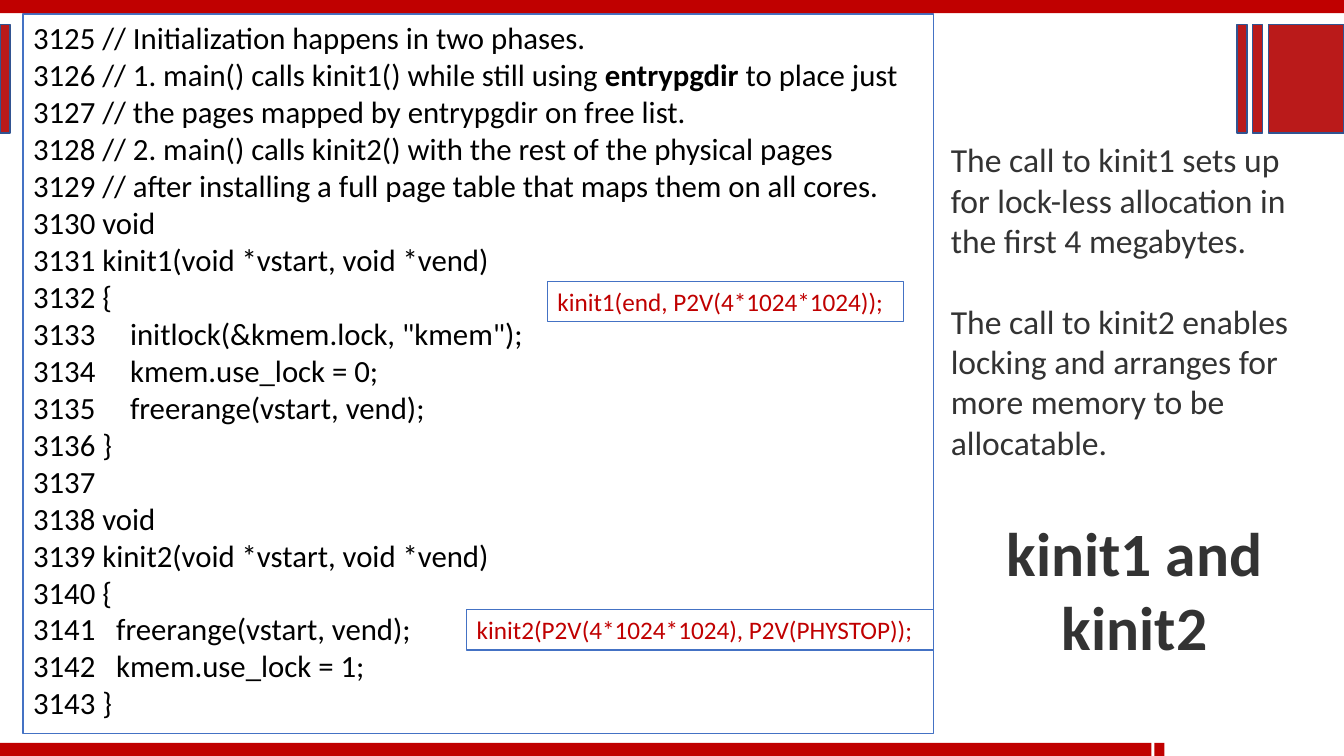
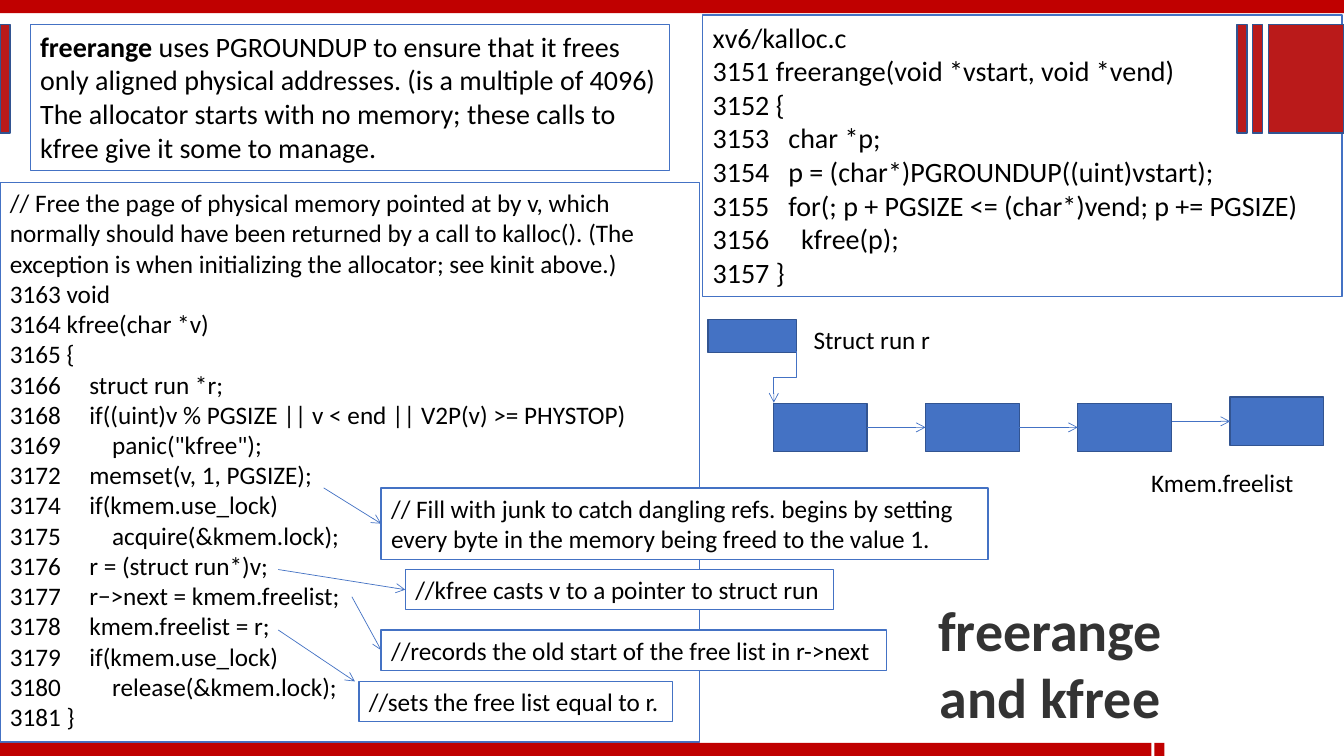
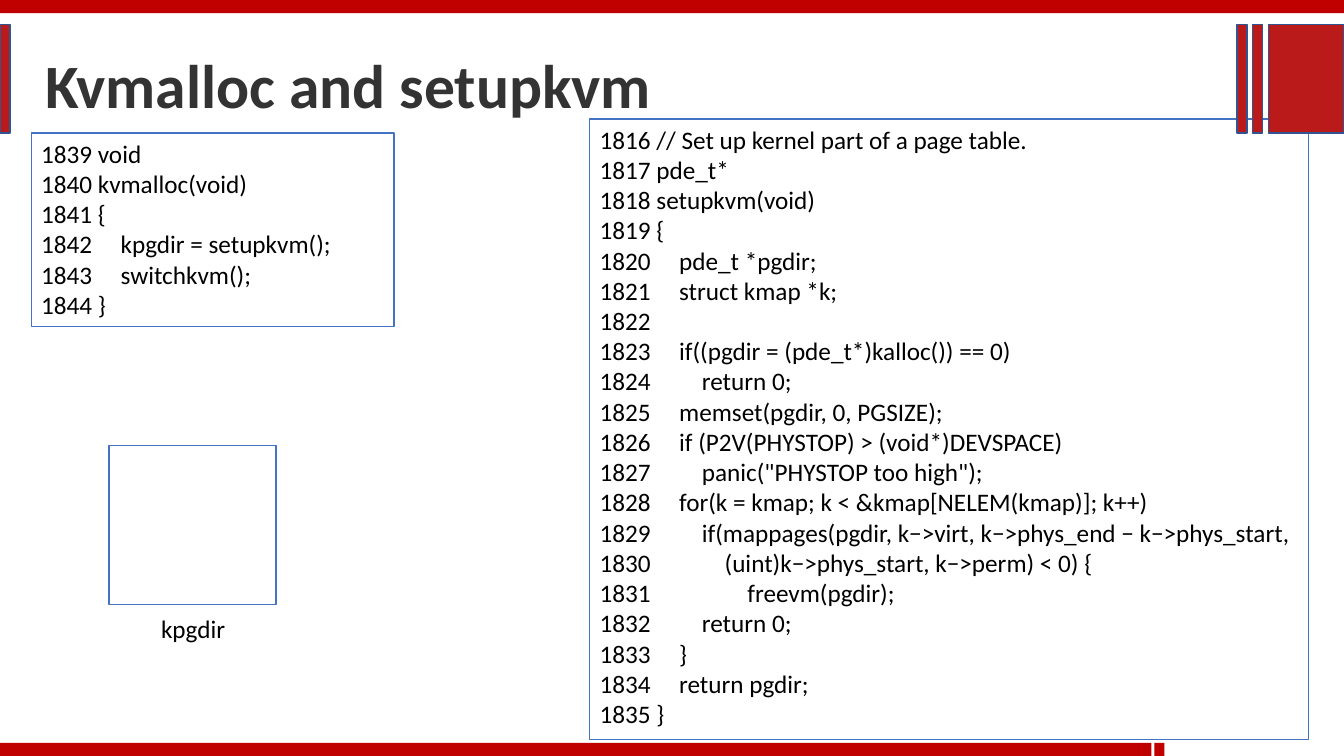
"""Build three slides on the kernel memory allocator and page table set-up."""

from lxml.etree import SubElement
from pptx import Presentation
from pptx.dml.color import RGBColor
from pptx.enum.shapes import MSO_CONNECTOR, MSO_SHAPE
from pptx.enum.text import MSO_ANCHOR, MSO_AUTO_SIZE, PP_ALIGN
from pptx.oxml.ns import qn
from pptx.util import Inches, Pt

BLACK = RGBColor(0x00, 0x00, 0x00)
WHITE = RGBColor(0xFF, 0xFF, 0xFF)
GREY = RGBColor(0x33, 0x33, 0x33)
RED = RGBColor(0xC0, 0x00, 0x00)
BRICK = RGBColor(0xBA, 0x1A, 0x1A)
BLUE = RGBColor(0x44, 0x72, 0xC4)
NAVY = RGBColor(0x32, 0x54, 0x91)
FONT = "Calibri"

KINIT = """3125 // Initialization happens in two phases.
3126 // 1. main() calls kinit1() while still using **entrypgdir** to place just
3127 // the pages mapped by entrypgdir on free list.
3128 // 2. main() calls kinit2() with the rest of the physical pages
3129 // after installing a full page table that maps them on all cores.
3130 void
3131 kinit1(void *vstart, void *vend)
3132 {
3133     initlock(&kmem.lock, "kmem");
3134     kmem.use_lock = 0;
3135     freerange(vstart, vend);
3136 }
3137
3138 void
3139 kinit2(void *vstart, void *vend)
3140 {
3141   freerange(vstart, vend);
3142   kmem.use_lock = 1;
3143 }"""

KINIT_CALLS = """The call to kinit1 sets up for lock-less allocation in the first 4 megabytes.
The call to kinit2 enables locking and arranges for more memory to be allocatable."""

FREERANGE = """xv6/kalloc.c
3151 freerange(void *vstart, void *vend)
3152 {
3153   char *p;
3154   p = (char*)PGROUNDUP((uint)vstart);
3155   for(; p + PGSIZE <= (char*)vend; p += PGSIZE)
3156     kfree(p);
3157 }"""

FREERANGE_USE = """**freerange** uses PGROUNDUP to ensure that it frees only aligned physical addresses. (is a multiple of 4096)
The allocator starts with no memory; these calls to kfree give it some to manage."""

KFREE = """// Free the page of physical memory pointed at by v, which normally should have been returned by a call to kalloc(). (The exception is when initializing the allocator; see kinit above.)
3163 void
3164 kfree(char *v)
3165 {
3166     struct run *r;
3168     if((uint)v % PGSIZE || v < end || V2P(v) >= PHYSTOP)
3169         panic("kfree");
3172     memset(v, 1, PGSIZE);
3174     if(kmem.use_lock)
3175         acquire(&kmem.lock);
3176     r = (struct run*)v;
3177     r−>next = kmem.freelist;
3178     kmem.freelist = r;
3179     if(kmem.use_lock)
3180         release(&kmem.lock);
3181 }"""

SETUPKVM = """1816 // Set up kernel part of a page table.
1817 pde_t*
1818 setupkvm(void)
1819 {
1820     pde_t *pgdir;
1821     struct kmap *k;
1822
1823     if((pgdir = (pde_t*)kalloc()) == 0)
1824         return 0;
1825     memset(pgdir, 0, PGSIZE);
1826     if (P2V(PHYSTOP) > (void*)DEVSPACE)
1827         panic("PHYSTOP too high");
1828     for(k = kmap; k < &kmap[NELEM(kmap)]; k++)
1829         if(mappages(pgdir, k−>virt, k−>phys_end − k−>phys_start,
1830             (uint)k−>phys_start, k−>perm) < 0) {
1831                 freevm(pgdir);
1832         return 0;
1833     }
1834     return pgdir;
1835 }"""

KVMALLOC = """1839 void
1840 kvmalloc(void)
1841 {
1842     kpgdir = setupkvm();
1843     switchkvm();
1844 }"""

BANDS = [
    ((0, 0, 13.33, 0.13), RED, None),
    ((0, 7.37, 11.42, 0.13), RED, None),
    ((11.45, 7.37, 0.1, 0.13), RED, None),
    ((0, 0.24, 0.1, 1.08), BRICK, NAVY),
    ((12.27, 0.24, 0.1, 1.08), BRICK, NAVY),
    ((12.42, 0.24, 0.1, 1.08), BRICK, NAVY),
    ((12.58, 0.24, 0.75, 1.08), BRICK, NAVY),
]


def add_box(slide, place, fill=WHITE, line=BLUE):
    """Add a flat rectangle at place, given in inches."""
    box = slide.shapes.add_shape(MSO_SHAPE.RECTANGLE, *map(Inches, place))
    box.shadow.inherit = False
    box.fill.solid()
    box.fill.fore_color.rgb = fill
    if line is None:
        box.line.fill.background()
    else:
        box.line.color.rgb = line
        box.line.width = Pt(1)
    return box


def write(holder, text, size=18, color=BLACK, bold=False, align=PP_ALIGN.LEFT, gap=0):
    """Write one paragraph per line, with words between ** in bold."""
    frame = holder.text_frame
    frame.word_wrap = True
    frame.auto_size = MSO_AUTO_SIZE.NONE
    frame.vertical_anchor = MSO_ANCHOR.TOP
    for number, line in enumerate(text.split("\n")):
        paragraph = frame.add_paragraph() if number else frame.paragraphs[0]
        paragraph.alignment = align
        paragraph.space_before = Pt(gap if number else 0)
        for part, words in enumerate(line.split("**")):
            if words:
                run = paragraph.add_run()
                run.text = words
                run.font.name = FONT
                run.font.size = Pt(size)
                run.font.color.rgb = color
                run.font.bold = bold or part % 2 == 1


deck = Presentation()
deck.slide_width = Inches(13.33)
deck.slide_height = Inches(7.5)
title_and_content, title_only = deck.slide_layouts[1], deck.slide_layouts[5]

topics = [
    (title_and_content, "kinit1 and kinit2", 44, (9.74, 5.06, 3.03, 1.58),
     [(KINIT, 22, (0.23, 0.14, 9.03, 7.14))]),
    (title_only, "freerange and kfree", 40, (8.9, 5.86, 3.03, 1.45),
     [(FREERANGE, 20, (6.97, 0.15, 6.34, 2.79)),
      (FREERANGE_USE, 20, (0.3, 0.24, 6.34, 1.45)),
      (KFREE, 18, (0, 1.81, 6.94, 5.55))]),
    (title_only, "Kvmalloc and setupkvm", 44, (0.1, 0.42, 6.72, 0.84),
     [(SETUPKVM, 18, (5.85, 1.18, 7.13, 6.16)),
      (KVMALLOC, 18, (0.31, 1.32, 3.6, 1.92))]),
]
for layout, heading, heading_size, heading_place, listings in topics:
    slide = deck.slides.add_slide(layout)
    title = slide.shapes.title
    title.left, title.top, title.width, title.height = map(Inches, heading_place)
    write(title, heading, size=heading_size, color=GREY, bold=True, align=PP_ALIGN.CENTER)
    for code, code_size, place in listings:
        write(add_box(slide, place), code, size=code_size)
    for place, fill, line in BANDS:
        add_box(slide, place, fill, line)

kinit_slide, kfree_slide, kvm_slide = deck.slides

explanation = kinit_slide.placeholders[1]
explanation.left, explanation.top = Inches(9.33), Inches(1.33)
explanation.width, explanation.height = Inches(3.79), Inches(3.74)
write(explanation, KINIT_CALLS, size=24, color=GREY, gap=29)
for properties in list(explanation.element.iter(qn("a:pPr"))):
    properties.set("marL", "0")
    properties.set("indent", "0")
    SubElement(properties, qn("a:buNone"))

for call, place in [
    ("kinit1(end, P2V(4*1024*1024));", (5.43, 2.79, 3.53, 0.4)),
    ("kinit2(P2V(4*1024*1024), P2V(PHYSTOP));", (4.63, 6.05, 4.63, 0.4)),
]:
    write(add_box(kinit_slide, place), call, color=RED)

notes = []
for remark, place in [
    ("// Fill with junk to catch dangling refs. begins by setting every byte in the memory "
     "being freed to the value 1.", (3.78, 4.84, 6.02, 0.71)),
    ("//kfree casts v to a pointer to struct run", (4.02, 5.65, 4.25, 0.4)),
    ("//records the old start of the free list in r->next", (3.78, 6.25, 5.01, 0.4)),
    ("//sets the free list equal to r.", (3.56, 6.76, 3.11, 0.4)),
]:
    note = add_box(kfree_slide, place)
    write(note, remark)
    notes.append(note)

pages = [
    add_box(kfree_slide, (7.67 + 1.51 * index, top, 0.93, 0.48), BLUE, NAVY)
    for index, top in enumerate([4, 4, 4, 3.94])
]
add_box(kfree_slide, (7.02, 3.17, 0.88, 0.33), BLUE, NAVY)

for label, place in [
    ("Kmem.freelist", (11.32, 4.59, 1.77, 0.4)),
    ("Struct run r", (7.97, 3.17, 1.82, 0.4)),
]:
    write(kfree_slide.shapes.add_textbox(*map(Inches, place)), label)

STRAIGHT, ELBOW = MSO_CONNECTOR.STRAIGHT, MSO_CONNECTOR.ELBOW
for kind, ends, source, target in [
    (STRAIGHT, (3.21, 4.84, 3.78, 5.2), None, notes[0]),
    (STRAIGHT, (2.76, 5.65, 4.02, 5.85), None, notes[1]),
    (STRAIGHT, (3.49, 5.92, 3.78, 6.45), None, notes[2]),
    (STRAIGHT, (2.76, 6.25, 3.52, 6.76), None, None),
    (STRAIGHT, (8.6, 4.24, 9.18, 4.24), pages[0], pages[1]),
    (STRAIGHT, (10.11, 4.24, 10.69, 4.24), pages[1], pages[2]),
    (STRAIGHT, (11.62, 4.18, 12.2, 4.18), None, pages[3]),
    (ELBOW, (7.53, 3.63, 8.04, 3.85), None, None),
]:
    arrow = kfree_slide.shapes.add_connector(kind, *map(Inches, ends))
    if source is not None:
        arrow.begin_connect(source, 3)
    if target is not None:
        arrow.end_connect(target, 1)
    arrow.line.color.rgb = BLUE
    arrow.line.width = Pt(0.5)
    outline = arrow.element.spPr
    SubElement(outline.find(qn("a:ln")), qn("a:tailEnd"), type="arrow")
    SubElement(outline, qn("a:effectLst"))
    if kind == ELBOW:
        outline.find(qn("a:xfrm")).set("rot", "5400000")

add_box(kvm_slide, (1.08, 4.42, 1.66, 1.58))
write(add_box(kvm_slide, (1.09, 6.04, 1.65, 0.4), line=None), "kpgdir", align=PP_ALIGN.CENTER)

deck.save("out.pptx")
